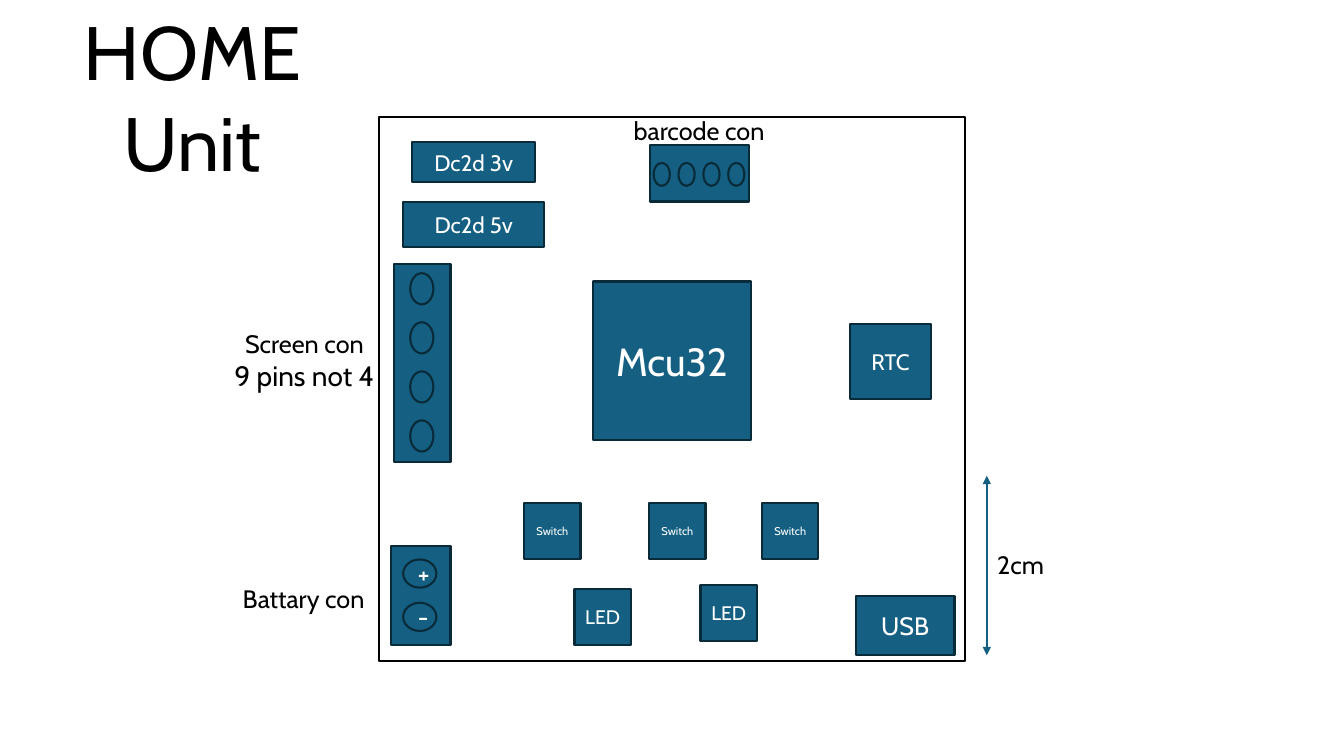
from lxml.etree import SubElement
from pptx import Presentation
from pptx.dml.color import RGBColor
from pptx.enum.shapes import MSO_CONNECTOR, MSO_SHAPE
from pptx.enum.text import MSO_ANCHOR, MSO_AUTO_SIZE, PP_ALIGN
from pptx.oxml.ns import qn
from pptx.util import Inches, Pt

TEAL = RGBColor(0x15, 0x60, 0x82)
DARK_TEAL = RGBColor(0x09, 0x2A, 0x39)
BLACK = RGBColor(0, 0, 0)
WHITE = RGBColor(255, 255, 255)
FONT = "Cabin"

presentation = Presentation()
presentation.slide_width = Inches(13.33)
presentation.slide_height = Inches(7.5)
COLUMN = presentation.slide_width / 80
ROW = presentation.slide_height / 45
slide = presentation.slides.add_slide(presentation.slide_layouts[5])


def write_text(shape, lines, color, anchor):
    frame = shape.text_frame
    frame.word_wrap = True
    frame.auto_size = MSO_AUTO_SIZE.NONE
    frame.vertical_anchor = anchor
    frame.text = "\n".join(text for text, size in lines)
    for paragraph, (text, size) in zip(frame.paragraphs, lines):
        paragraph.alignment = PP_ALIGN.CENTER
        paragraph.font.name = FONT
        paragraph.font.size = Pt(size)
        paragraph.font.color.rgb = color


def add_part(shapes, kind, column, row, columns, rows, text="", size=18):
    shape = shapes.add_shape(kind, int(column * COLUMN), int(row * ROW),
                             int(columns * COLUMN), int(rows * ROW))
    shape.shadow.inherit = False
    shape.fill.solid()
    shape.fill.fore_color.rgb = TEAL
    shape.line.color.rgb = DARK_TEAL
    shape.line.width = Pt(1.5)
    if text:
        write_text(shape, [(text, size)], WHITE, MSO_ANCHOR.MIDDLE)
    return shape


title = slide.shapes.title
title.left, title.top = 0, 0
title.width, title.height = int(22.92 * COLUMN), int(6.06 * ROW)
write_text(title, [("HOME Unit", 54)], BLACK, MSO_ANCHOR.TOP)
title.text_frame.margin_left = title.text_frame.margin_right = int(2 * COLUMN)

board = add_part(slide.shapes, MSO_SHAPE.RECTANGLE, 22.56, 6.96, 34.86, 32.4)
board.fill.background()
board.line.color.rgb = BLACK

board_parts = [
    (50.94, 35.46, 5.88, 3.54, "USB", 18),
    (35.28, 16.76, 9.42, 9.42, "Mcu32", 28),
    (24, 12, 8.4, 2.7, "Dc2d 5v", 16),
    (24.54, 8.46, 7.32, 2.4, "Dc2d 3v", 16),
    (50.58, 19.26, 4.86, 4.5, "RTC", 16),
    (34.2, 35.04, 3.36, 3.36, "LED", 14),
    (41.7, 34.8, 3.36, 3.36, "LED", 14),
]
for switch_column in (31.2, 38.64, 45.36):
    board_parts.append((switch_column, 29.94, 3.36, 3.36, "Switch", 8))
for board_part in board_parts:
    add_part(slide.shapes, MSO_SHAPE.RECTANGLE, *board_part)

connectors = [
    ((23.28, 32.52, 3.54, 5.88), (24, 33.3, 1.98, 1.68), (0, 2.58), ["+", "-"]),
    ((38.7, 8.64, 5.88, 3.36), (38.91, 9.69, 0.96, 1.38), (1.48, 0), [""] * 4),
    ((23.46, 15.72, 3.36, 11.76), (24.42, 16.26, 1.38, 1.86), (0, 2.92), [""] * 4),
]
for body, (column, row, columns, rows), (column_step, row_step), pins in connectors:
    group = slide.shapes.add_group_shape()
    add_part(group.shapes, MSO_SHAPE.RECTANGLE, *body)
    for index, pin in enumerate(pins):
        add_part(group.shapes, MSO_SHAPE.OVAL, column + index * column_step,
                 row + index * row_step, columns, rows, pin)

labels = [
    (35.7, 6.54, 11.82, 2.4, [("barcode con", 18)]),
    (12.06, 34.44, 12.36, 2.4, [("Battary con ", 18)]),
    (12.3, 19.26, 11.64, 4.44, [("Screen con", 18), ("9 pins not 4", 20)]),
    (57.6, 32.4, 6.3, 2.4, [("2cm", 18)]),
]
for column, row, columns, rows, lines in labels:
    label = slide.shapes.add_textbox(int(column * COLUMN), int(row * ROW),
                                     int(columns * COLUMN), int(rows * ROW))
    write_text(label, lines, BLACK, MSO_ANCHOR.TOP)

arrow_column = int(58.74 * COLUMN)
arrow = slide.shapes.add_connector(MSO_CONNECTOR.STRAIGHT, arrow_column, int(28.32 * ROW),
                                   arrow_column, int(39 * ROW))
arrow.line.color.rgb = TEAL
arrow.line.width = Pt(1.5)
arrow_properties = arrow._element.spPr
for arrowhead in ("a:headEnd", "a:tailEnd"):
    SubElement(arrow_properties.find(qn("a:ln")), qn(arrowhead), type="triangle")
SubElement(arrow_properties, qn("a:effectLst"))

presentation.save("out.pptx")
